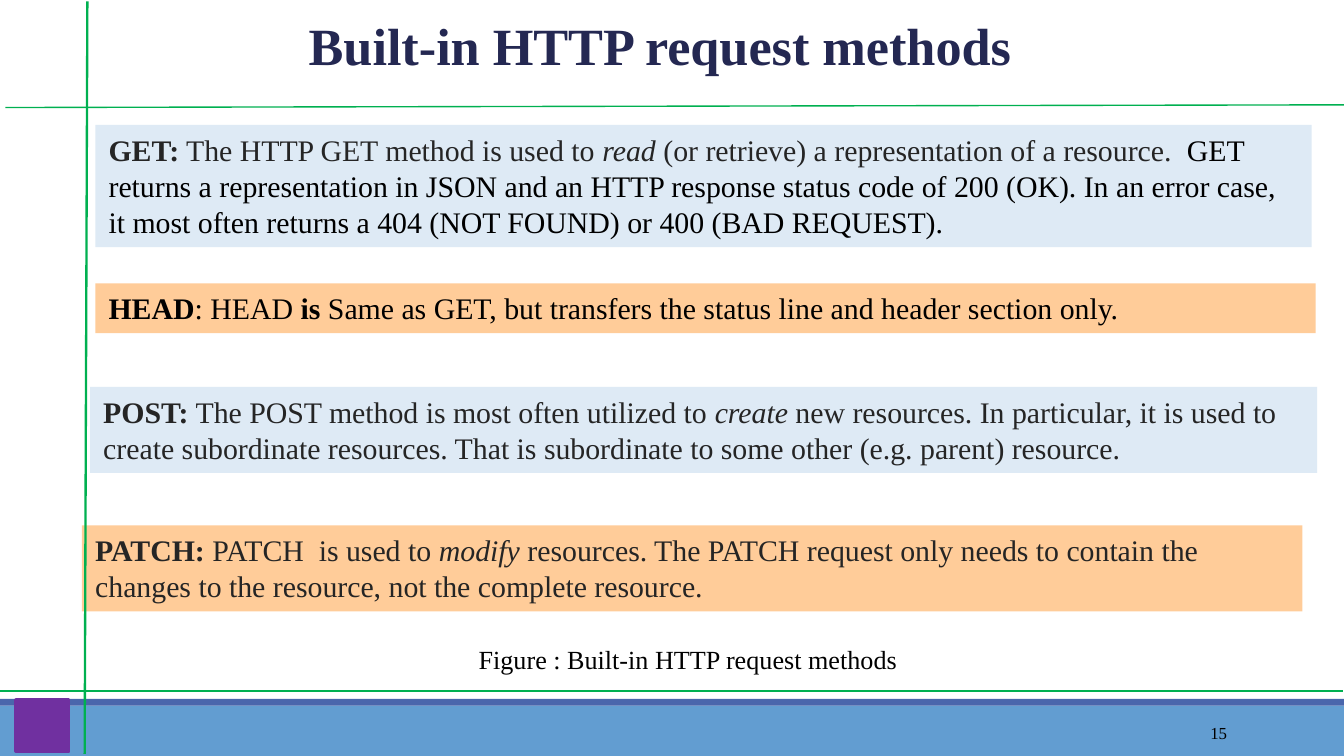
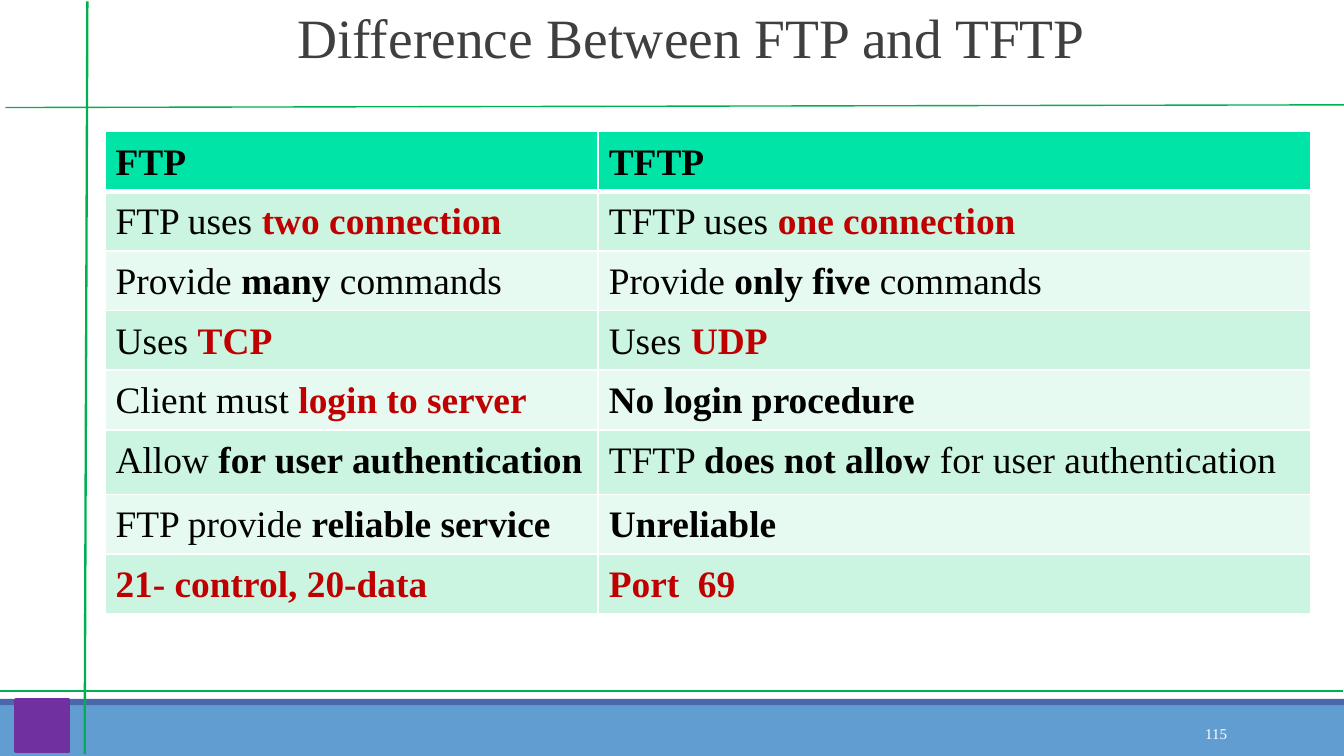
from lxml.etree import SubElement
from pptx import Presentation
from pptx.dml.color import RGBColor
from pptx.enum.shapes import MSO_CONNECTOR as Connector, MSO_SHAPE as Shape
from pptx.enum.text import MSO_ANCHOR as Anchor, PP_ALIGN as Align
from pptx.oxml.ns import qn
from pptx.oxml.xmlchemy import OxmlElement
from pptx.util import Inches, Pt

FONT = "Times New Roman"
BLACK = RGBColor(0x00, 0x00, 0x00)
WHITE = RGBColor(0xFF, 0xFF, 0xFF)
INK = RGBColor(0x25, 0x25, 0x25)
GRAY = RGBColor(0x3F, 0x3F, 0x3F)
NAVY = RGBColor(0x24, 0x28, 0x52)
RED = RGBColor(0xC0, 0x00, 0x00)
GREEN = RGBColor(0x00, 0xB0, 0x50)
PURPLE = RGBColor(0x70, 0x30, 0xA0)
FOOTER_BLUE = RGBColor(0x62, 0x9D, 0xD1)
STRIPE_BLUE = RGBColor(0x4A, 0x66, 0xAC)
PALE_BLUE = RGBColor(0xDE, 0xEA, 0xF5)
PEACH = RGBColor(0xFF, 0xCC, 0x99)
HEADER_GREEN = RGBColor(0x00, 0xE4, 0xA8)
ROW_GREENS = (RGBColor(0xCB, 0xF5, 0xE1), RGBColor(0xE7, 0xFA, 0xF1))

TITLE_INSETS = (0.07, 0.04)
BOX_INSETS = (0.1, 0.05)
CELL_INSETS = (0.08, 0.03)
ROW_HEIGHT = 0.44

METHODS = [
    ((0.71, 0.93, 9.05, 0.91), PALE_BLUE, INK, Align.LEFT,
     [("GET:", "b"), (" The HTTP GET method is used to ", ""), ("read", "i"),
      (" (or retrieve) a representation of a resource. ", ""),
      (" GET returns a representation in JSON and an HTTP response status code "
       "of 200 (OK). In an error case, it most often returns a 404 (NOT FOUND) "
       "or 400 (BAD REQUEST).", "k")]),
    ((0.67, 2.88, 9.13, 0.64), PALE_BLUE, INK, Align.LEFT,
     [("POST:", "b"), (" The POST method is most often utilized to ", ""),
      ("create", "i"),
      (" new resources. In particular, it is used to create subordinate "
       "resources. That is subordinate to some other (e.g. parent) resource.", "")]),
    ((0.61, 3.91, 9.08, 0.64), PEACH, INK, Align.LEFT,
     [("PATCH:", "b"), (" PATCH  is used to ", ""), ("modify", "i"),
      (" resources. The PATCH request only needs to contain the changes to the "
       "resource, not the complete resource.", "")]),
    ((0.71, 2.11, 9.08, 0.37), PEACH, BLACK, Align.JUSTIFY,
     [("HEAD", "b"), (": HEAD ", ""), ("is ", "b"),
      ("Same as GET, but transfers the status line and header section only.", "")]),
]

COMPARISON = [
    ([("FTP", "b")], [("TFTP", "b")]),
    ([("FTP uses ", ""), ("two connection", "br")],
     [("TFTP uses ", ""), ("one connection", "br")]),
    ([("Provide ", ""), ("many", "b"), (" commands", "")],
     [("Provide ", ""), ("only five ", "b"), ("commands", "")]),
    ([("Uses ", ""), ("TCP", "br")], [("Uses ", ""), ("UDP", "br")]),
    ([("Client must ", ""), ("login to server", "br")],
     [("No login procedure", "b")]),
    ([("Allow ", ""), ("for user authentication", "b")],
     [("TFTP ", ""), ("does not allow ", "b"), ("for user authentication", "")]),
    ([("FTP provide ", ""), ("reliable service", "b")], [("Unreliable", "b")]),
    ([("21- control, 20-data", "br")], [("Port  69", "br")]),
]


def write(paragraph, runs, size, color, align=Align.LEFT, spacing=None):
    paragraph.alignment = align
    if spacing:
        paragraph.line_spacing = spacing
    paragraph.font.name = FONT
    paragraph.font.size = Pt(size)
    paragraph.font.color.rgb = color
    for text, style in runs:
        run = paragraph.add_run()
        run.text = text
        if "b" in style:
            run.font.bold = True
        if "i" in style:
            run.font.italic = True
        if "r" in style:
            run.font.color.rgb = RED
        if "k" in style:
            run.font.color.rgb = BLACK


def set_insets(holder, insets):
    side, end = map(Inches, insets)
    holder.margin_left = holder.margin_right = side
    holder.margin_top = holder.margin_bottom = end


def add_text(slide, place, runs, size, color, insets, anchor=Anchor.TOP,
             align=Align.CENTER, spacing=None):
    frame = slide.shapes.add_textbox(*map(Inches, place)).text_frame
    frame.word_wrap = True
    frame.vertical_anchor = anchor
    set_insets(frame, insets)
    write(frame.paragraphs[0], runs, size, color, align, spacing)


def add_block(slide, place, fill, border=None):
    block = slide.shapes.add_shape(Shape.RECTANGLE, *map(Inches, place))
    block.shadow.inherit = False
    block.fill.solid()
    block.fill.fore_color.rgb = fill
    if border:
        block.line.color.rgb = fill
        block.line.width = Pt(border)
    else:
        block.line.fill.background()
    return block


def add_method(slide, place, fill, color, align, runs):
    frame = add_block(slide, place, fill).text_frame
    frame.word_wrap = True
    frame.vertical_anchor = Anchor.TOP
    set_insets(frame, BOX_INSETS)
    write(frame.paragraphs[0], runs, 16, color, align)


def add_rule(slide, ends, width):
    rule = slide.shapes.add_connector(Connector.STRAIGHT, *map(Inches, ends))
    rule.line.color.rgb = GREEN
    rule.line.width = Pt(width)
    SubElement(rule._element.spPr, qn("a:effectLst"))


def add_footer(slide, number, top, size, color):
    add_block(slide, (0, 5.25, 10, 0.38), FOOTER_BLUE)
    add_block(slide, (0, 5.2, 10, 0.05), STRIPE_BLUE)
    add_text(slide, (8.12, top, 1.08, 0.3), [(number, "")], size, color,
             TITLE_INSETS, Anchor.MIDDLE, Align.RIGHT)


def add_frame_lines(slide):
    add_rule(slide, (0.04, 0.8, 10.04, 0.78), 0.75)
    add_block(slide, (0.12, 5.21, 0.39, 0.38), PURPLE, border=2)
    add_rule(slide, (0.65, 0.01, 0.63, 5.61), 1.25)
    add_rule(slide, (-0.01, 5.14, 9.99, 5.14), 1.25)


def set_borders(cell, top, bottom):
    properties = cell._tc.get_or_add_tcPr()
    widths = {"lnL": 1, "lnR": 1, "lnT": top, "lnB": bottom}
    for position, (side, width) in enumerate(widths.items()):
        line = OxmlElement(f"a:{side}")
        line.set("w", str(Pt(width)))
        fill = SubElement(line, qn("a:solidFill"))
        SubElement(fill, qn("a:srgbClr")).set("val", str(WHITE))
        properties.insert(position, line)


def add_comparison(slide):
    heights = [ROW_HEIGHT] * len(COMPARISON)
    heights[5] = 0.48
    widths = (3.67, 5.3)
    place = (0.78, 0.98, sum(widths), sum(heights))
    table = slide.shapes.add_table(len(heights), len(widths),
                                   *map(Inches, place)).table
    table.first_row = table.horz_banding = False
    for column, width in zip(table.columns, widths):
        column.width = Inches(width)
    for index, (row, height) in enumerate(zip(table.rows, heights)):
        row.height = Inches(height)
        for cell, runs in zip(row.cells, COMPARISON[index]):
            cell.fill.solid()
            cell.fill.fore_color.rgb = ROW_GREENS[(index - 1) % 2] if index else HEADER_GREEN
            set_borders(cell, 3 if index == 1 else 1, 3 if index == 0 else 1)
            set_insets(cell, CELL_INSETS)
            write(cell.text_frame.paragraphs[0], runs, 20, BLACK, spacing=1.15)


def build_methods(slide):
    add_footer(slide, "15", 5.3, 9, BLACK)
    add_text(slide, (0.71, 0.1, 8.4, 0.51), [("Built-in HTTP request methods", "b")],
             28, NAVY, TITLE_INSETS, Anchor.BOTTOM, spacing=0.85)
    add_text(slide, (0.84, 4.69, 8.56, 0.67),
             [("Figure : Built-in HTTP request methods", "")], 14, BLACK, (0.1, 0.1))
    for method in METHODS:
        add_method(slide, *method)
    add_frame_lines(slide)


def build_difference(slide):
    add_footer(slide, "115", 5.31, 8, WHITE)
    add_text(slide, (0.77, 0.1, 8.75, 0.52), [("Difference Between FTP and TFTP", "")],
             29.7, GRAY, (0.07, 0), spacing=0.85)
    add_comparison(slide)
    add_frame_lines(slide)


def main():
    deck = Presentation()
    deck.slide_width = Inches(10)
    deck.slide_height = Inches(10) * 9 // 16
    blank = deck.slide_layouts[6]
    for build in (build_methods, build_difference):
        build(deck.slides.add_slide(blank))
    deck.save("out.pptx")


if __name__ == "__main__":
    main()
